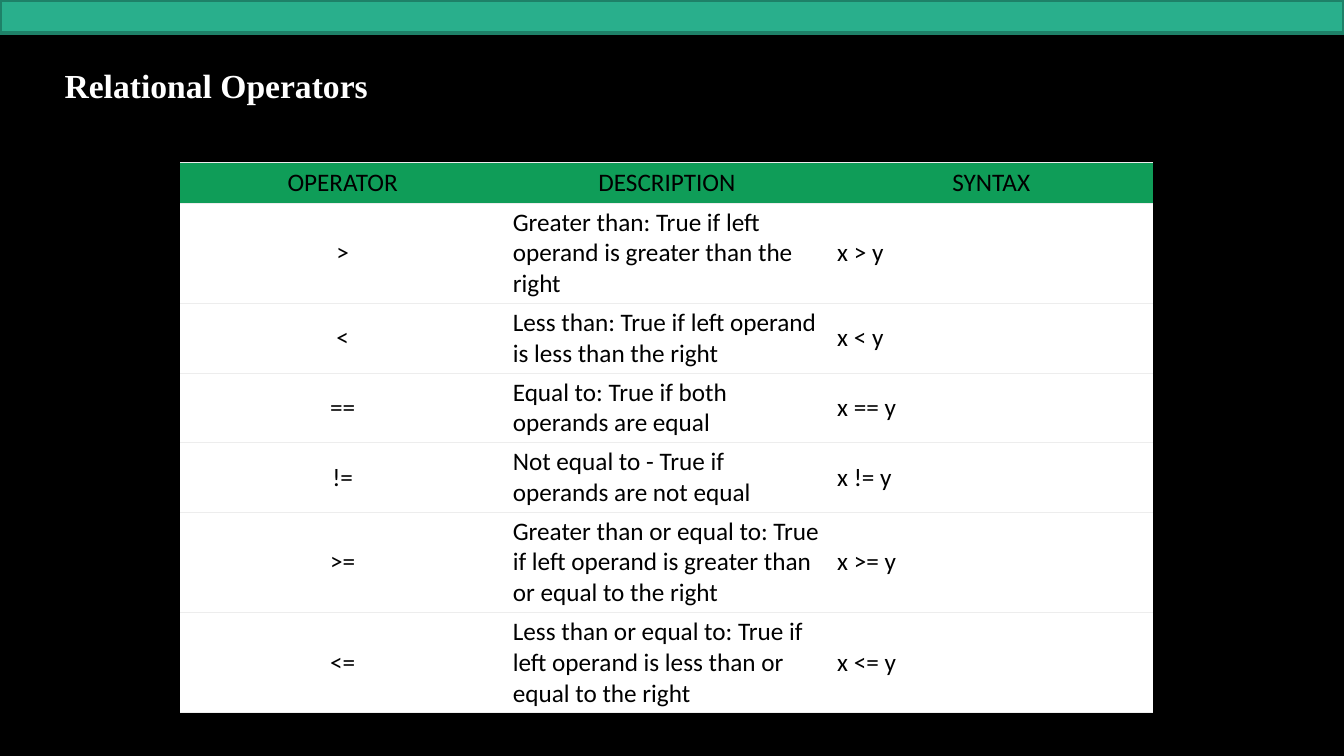
from lxml import etree
from pptx import Presentation
from pptx import util as u
from pptx.dml.color import RGBColor
from pptx.enum import shapes, text
from pptx.oxml import ns

BLACK = RGBColor(0x00, 0x00, 0x00)
WHITE = RGBColor(0xFF, 0xFF, 0xFF)
TEAL = RGBColor(0x29, 0xAF, 0x8C)
DARK_TEAL = RGBColor(0x1E, 0x81, 0x68)
GREEN = RGBColor(0x0F, 0x9D, 0x58)
RULE_GREY = RGBColor(0xED, 0xED, 0xED)

SLIDE_W, SLIDE_H = 13.33, 7.5
NO_STYLE = "{2D5ABB26-0587-4C30-8999-92F81FD0307C}"
HEADER = ("OPERATOR", "DESCRIPTION", "SYNTAX")
OPERATORS = [
    (">", "Greater than: True if left operand is greater than the right"),
    ("<", "Less than: True if left operand is less than the right"),
    ("==", "Equal to: True if both operands are equal"),
    ("!=", "Not equal to - True if operands are not equal"),
    (">=", "Greater than or equal to: True if left operand is greater than or equal to the right"),
    ("<=", "Less than or equal to: True if left operand is less than or equal to the right"),
]
ROW_HEIGHTS = (0.34, 0.81, 0.63, 0.63, 0.63, 0.99, 0.99)


def inches(box):
    return [u.Inches(v) for v in box]


def add_run(p, words, font, size, color, bold=False):
    r = p.add_run()
    r.text = words
    r.font.name = font
    r.font.size = u.Pt(size)
    r.font.color.rgb = color
    r.font.bold = bold


def add_title(s, box):
    sp = s.shapes.title
    sp.left, sp.top, sp.width, sp.height = inches(box)
    tf = sp.text_frame
    tf.word_wrap = True
    tf.vertical_anchor = text.MSO_ANCHOR.MIDDLE
    p = tf.paragraphs[0]
    p.alignment = text.PP_ALIGN.LEFT
    p.line_spacing = 0.9
    add_run(p, "Relational Operators", "Times New Roman", 24, WHITE, True)


def add_band(s, box):
    sp = s.shapes.add_shape(shapes.MSO_SHAPE.RECTANGLE, *inches(box))
    sp.shadow.inherit = False
    sp.fill.solid()
    sp.fill.fore_color.rgb = TEAL
    sp.line.color.rgb = DARK_TEAL
    sp.line.width = u.Pt(2.75)


def add_rules(cell):
    tc_pr = cell._tc.get_or_add_tcPr()
    for i, side in enumerate(("a:lnT", "a:lnB")):
        ln = etree.Element(ns.qn(side), w=str(u.Pt(0.75)))
        fill = etree.SubElement(ln, ns.qn("a:solidFill"))
        etree.SubElement(fill, ns.qn("a:srgbClr"), val=str(RULE_GREY))
        tc_pr.insert(i, ln)


def fill_cell(cell, words, color, centred, pad_x, pad_y):
    cell.fill.solid()
    cell.fill.fore_color.rgb = color
    cell.vertical_anchor = text.MSO_ANCHOR.MIDDLE
    cell.margin_left = cell.margin_right = u.Inches(pad_x)
    cell.margin_top = cell.margin_bottom = u.Inches(pad_y)
    p = cell.text_frame.paragraphs[0]
    p.alignment = text.PP_ALIGN.CENTER if centred else text.PP_ALIGN.LEFT
    add_run(p, words, "Calibri", 18, BLACK)
    add_rules(cell)


def add_operator_table(s, box):
    rows = [HEADER] + [(op, about, f"x {op} y") for op, about in OPERATORS]
    table = s.shapes.add_table(len(rows), len(HEADER), *inches(box)).table
    table.first_row = table.horz_banding = False
    table._tbl.tblPr.find(ns.qn("a:tableStyleId")).text = NO_STYLE
    for column in table.columns:
        column.width = u.Inches(box[2] / len(HEADER))
    for i, (row, height) in enumerate(zip(rows, ROW_HEIGHTS)):
        table.rows[i].height = u.Inches(height)
        for j, words in enumerate(row):
            if i == 0:
                fill_cell(table.cell(i, j), words, GREEN, True, 0.05, 0.05)
            else:
                fill_cell(table.cell(i, j), words, WHITE, j == 0, 0.08, 0.04)


def main():
    prs = Presentation()
    prs.slide_width, prs.slide_height = inches((SLIDE_W, SLIDE_H))
    s = prs.slides.add_slide(prs.slide_layouts[5])
    s.background.fill.solid()
    s.background.fill.fore_color.rgb = BLACK
    add_title(s, (0.54, 0.63, 11.5, 0.48))
    add_band(s, (0, 0, SLIDE_W, 0.33))
    add_operator_table(s, (1.79, 1.61, 9.65, sum(ROW_HEIGHTS)))
    prs.save("out.pptx")


if __name__ == "__main__":
    main()
